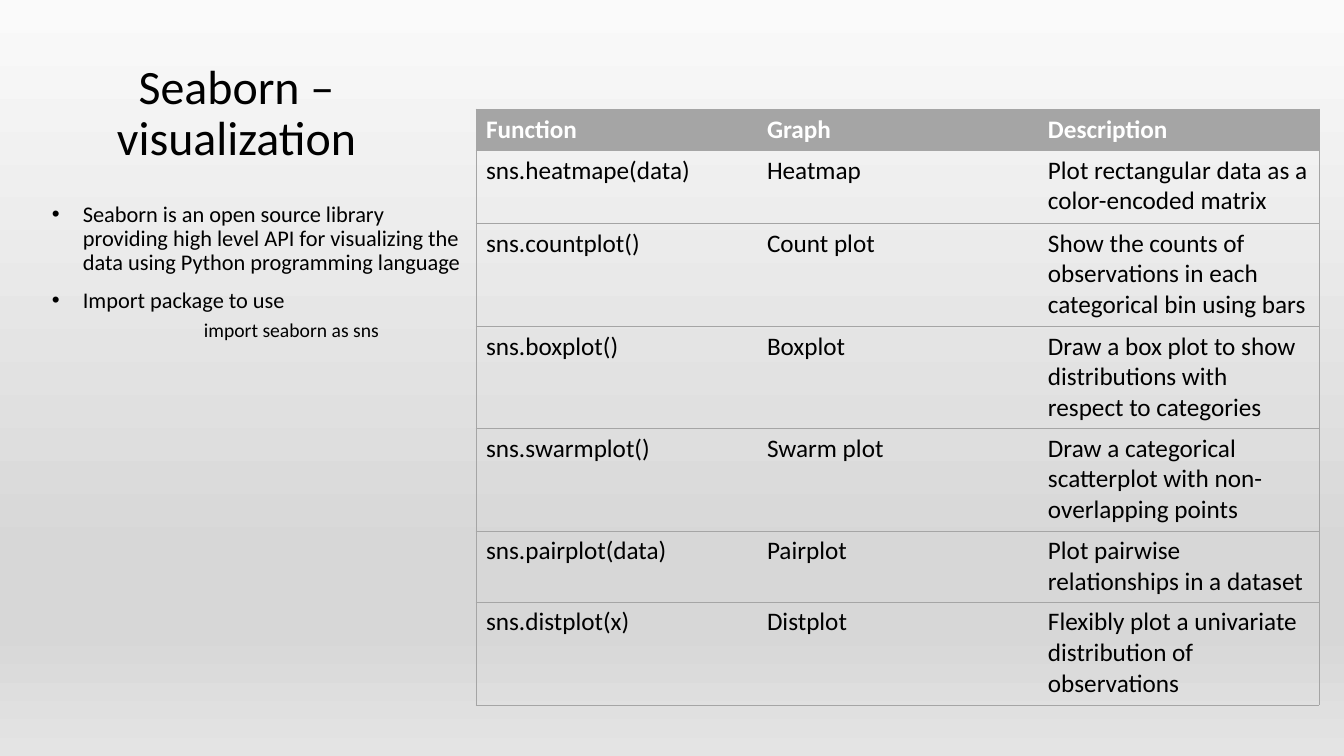
from lxml import etree
from pptx import Presentation
from pptx import util as u
from pptx.dml.color import RGBColor
from pptx.enum import text
from pptx.oxml.ns import qn

PX = 914400 / 100.8
FONT = "Calibri"
HUES = {"ink": "000000", "head": "FFFFFF", "rule": "A5A5A5"}
STOPS = [(0, "FAFAFA"), (74, "D7D7D7"), (83, "D7D7D7"), (100, "E4E4E4")]

NOTES = [
    ("Seaborn is an open source library providing high level API for "
     "visualizing the data using Python programming language", 16, 10, 31, True),
    ("Import package to use", 16, 10, 31, True),
    ("import seaborn as sns", 14, 5, 152, False),
]
ROWS = [
    ("Function", "Graph", "Description"),
    ("sns.heatmape(data)", "Heatmap", "Plot rectangular data as a color-encoded matrix"),
    ("sns.countplot()", "Count plot",
     "Show the counts of observations in each categorical bin using bars"),
    ("sns.boxplot()", "Boxplot",
     "Draw a box plot to show distributions with respect to categories"),
    ("sns.swarmplot()", "Swarm plot",
     "Draw a categorical scatterplot with non-overlapping points"),
    ("sns.pairplot(data)", "Pairplot", "Plot pairwise relationships in a dataset"),
    ("sns.distplot(x)", "Distplot",
     "Flexibly plot a univariate distribution of observations"),
]
TALL = [41, 73, 103, 102, 103, 71, 103]


def px(n):
    """Turn pixels into EMU."""
    return u.Emu(round(n * PX))


def sub(node, tag, **attrs):
    """Append a drawing element and return it."""
    return etree.SubElement(node, qn("a:" + tag), {k: str(v) for k, v in attrs.items()})


def write(para, words, size, hue="ink", bold=False, **form):
    """Put one styled run in a paragraph."""
    run = para.add_run()
    run.text = words
    for key, val in {"name": FONT, "size": u.Pt(size), "bold": bold}.items():
        setattr(run.font, key, val)
    run.font.color.rgb = RGBColor.from_string(HUES[hue])
    for key, val in form.items():
        setattr(para, key, val)


def frame(slide, box, anchor):
    """Add a wrapping text box and return its frame."""
    body = slide.shapes.add_textbox(*map(px, box)).text_frame
    body.word_wrap = True
    body.vertical_anchor = anchor
    return body


def backdrop(slide):
    """Fill the slide with a vertical gradient."""
    fill = slide.background.fill
    fill.gradient()
    fill.gradient_angle = 270
    stops = next(slide.element.iter(qn("a:gsLst")))
    for old in list(stops):
        stops.remove(old)
    for spot, hue in STOPS:
        sub(sub(stops, "gs", pos=spot * 1000), "srgbClr", val=hue)


def title(slide, box):
    """Write the centred heading."""
    body = frame(slide, box, text.MSO_ANCHOR.BOTTOM)
    write(body.paragraphs[0], "Seaborn – visualization", 34.2,
          alignment=text.PP_ALIGN.CENTER, line_spacing=0.9)


def notes(slide, box):
    """Write the bulleted notes and the code line."""
    body = frame(slide, box, text.MSO_ANCHOR.TOP)
    for i, (words, size, gap, left, dot) in enumerate(NOTES):
        para = body.add_paragraph() if i else body.paragraphs[0]
        write(para, words, size, line_spacing=0.9, space_before=u.Pt(gap))
        props = para._p.get_or_add_pPr()
        props.set("marL", str(px(left)))
        props.set("indent", str(-px(left) if dot else 0))
        if dot:
            sub(props, "buFont", typeface="Arial")
            sub(props, "buChar", char="•")


def border(cell, sides):
    """Rule the named sides of a cell and clear the others."""
    props = cell._tc.get_or_add_tcPr()
    for side in "LRTB":
        line = sub(props, "ln" + side, w=u.Pt(0.5))
        if side in sides:
            sub(sub(line, "solidFill"), "srgbClr", val=HUES["rule"])
        else:
            sub(line, "noFill")


def table(slide, box):
    """Build the table of plot functions."""
    cols = len(ROWS[0])
    grid = slide.shapes.add_table(len(ROWS), cols, *map(px, box)).table
    grid.horz_banding = False
    for col in grid.columns:
        col.width = px(box[2] / cols)
    for r, row in enumerate(ROWS):
        grid.rows[r].height = px(TALL[r])
        for c, words in enumerate(row):
            cell = grid.cell(r, c)
            border(cell, "TB" + ("L" if c == 0 else "R" if c == cols - 1 else ""))
            if r:
                cell.fill.background()
            else:
                cell.fill.solid()
                cell.fill.fore_color.rgb = RGBColor.from_string(HUES["rule"])
            write(cell.text_frame.paragraphs[0], words, 18,
                  "ink" if r else "head", r == 0)


def main():
    """Build and save the slide."""
    deck = Presentation()
    deck.slide_width, deck.slide_height = px(1344), px(756)
    slide = deck.slides.add_slide(deck.slide_layouts[6])
    backdrop(slide)
    title(slide, (20, 50, 433, 121))
    notes(slide, (42, 198, 433, 218))
    table(slide, (476, 109, 843, sum(TALL)))
    deck.save("out.pptx")


if __name__ == "__main__":
    main()
